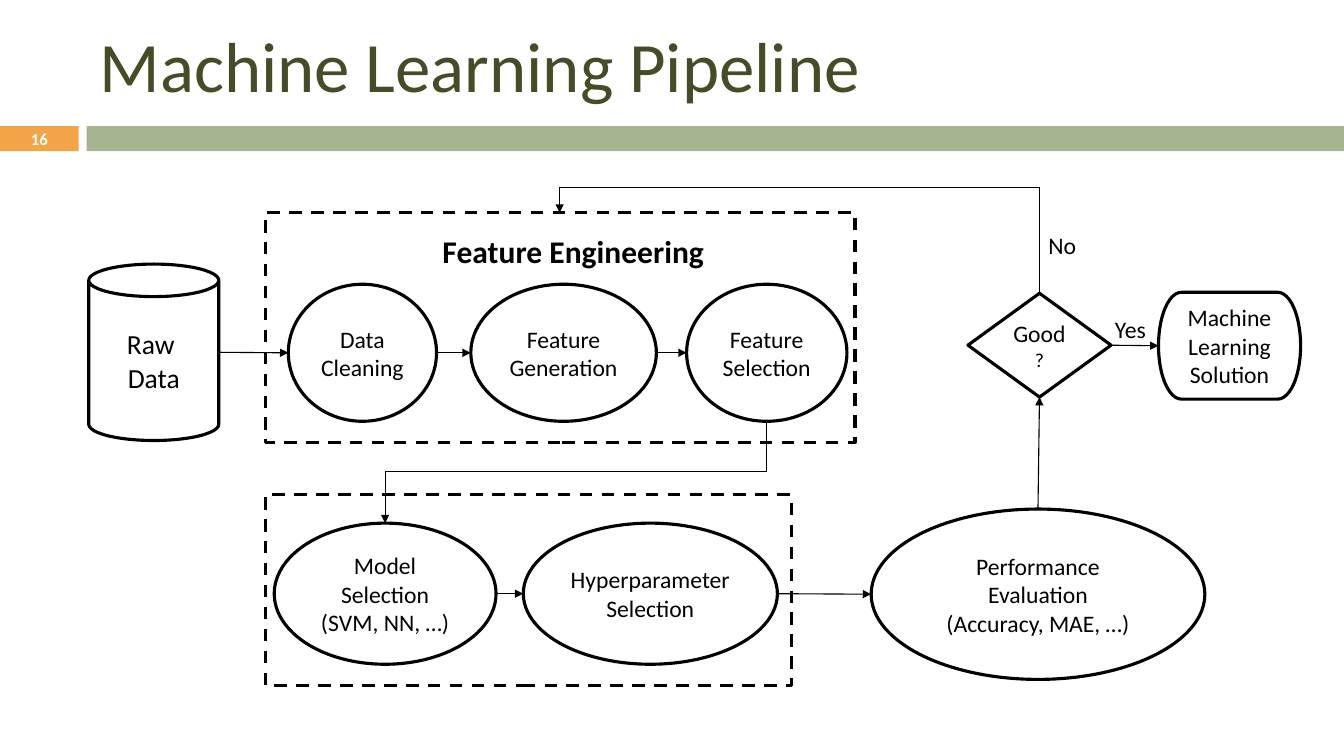
import pptx
import pptx.util
import pptx.dml.color
import pptx.enum.dml
import pptx.enum.shapes
import pptx.enum.text
import pptx.oxml.ns
from lxml import etree

PX = 9144  # 100 px to the inch
INK = "000000"
KIND = pptx.enum.shapes.MSO_SHAPE
LINK = pptx.enum.shapes.MSO_CONNECTOR
ALIGN = pptx.enum.text.PP_ALIGN
qn = pptx.oxml.ns.qn


def rgb(code):
    return pptx.dml.color.RGBColor.from_string(code)


def scale(*nums):
    return [round(n * PX) for n in nums]


def write(shape, text, size, color=INK, bold=False, align=ALIGN.CENTER, inset=(4, 4)):
    frame = shape.text_frame
    frame.text = text
    frame.word_wrap = True
    frame.vertical_anchor = pptx.enum.text.MSO_ANCHOR.MIDDLE
    frame.margin_left = frame.margin_right = inset[0] * PX
    frame.margin_top = frame.margin_bottom = inset[1] * PX
    for par in frame.paragraphs:
        par.alignment = align
        for run in par.runs:
            run.font.name = "Calibri"
            run.font.size = pptx.util.Pt(size)
            run.font.bold = bold
            run.font.color.rgb = rgb(color)


def label(slide, box, text, size, **style):
    shape = slide.shapes.add_textbox(*scale(*box))
    write(shape, text, size, inset=(10, 5), **style)


def bar(slide, box, color):
    shape = slide.shapes.add_shape(KIND.RECTANGLE, *scale(*box))
    shape.shadow.inherit = False
    shape.fill.solid()
    shape.fill.fore_color.rgb = rgb(color)
    shape.line.fill.background()


def node(slide, kind, box, text="", size=16.9):
    """Add an unfilled, outlined shape with centred text."""
    shape = slide.shapes.add_shape(kind, *scale(*box))
    shape.shadow.inherit = False
    shape.fill.background()
    shape.line.color.rgb = rgb(INK)
    shape.line.width = pptx.util.Pt(2.25)
    if text:
        write(shape, text, size)
    return shape


def frame(slide, box):
    shape = node(slide, KIND.RECTANGLE, box)
    shape.line.dash_style = pptx.enum.dml.MSO_LINE.DASH


def ink(line):
    """Give a connector its thin line and arrowhead."""
    line.line.color.rgb = rgb(INK)
    line.line.width = pptx.util.Pt(0.79)
    props = line.element.spPr
    etree.SubElement(props.find(qn("a:ln")), qn("a:tailEnd"), type="triangle")
    etree.SubElement(props, qn("a:effectLst"))


def across(slide, start, end):
    """Join the right side of one shape to the left side of the next."""
    line = slide.shapes.add_connector(
        LINK.STRAIGHT,
        start.left + start.width, start.top + start.height // 2,
        end.left, end.top + end.height // 2)
    ink(line)
    return line


def elbow(slide, start, end, level):
    """Run vertically to the level, then left, then vertically to the end."""
    (x1, y1), (x2, y2) = start, end
    midx, midy = (x1 + x2) / 2, (y1 + y2) / 2
    wide, high = abs(y2 - y1) / 2, (x1 - x2) / 2
    rises = y2 < y1
    if rises:
        high = -high
    line = slide.shapes.add_connector(
        LINK.ELBOW, *scale(midx - wide, midy - high, midx + wide, midy + high))
    props = line.element.spPr
    props.find(qn("a:xfrm")).set("rot", str((270 if rises else 90) * 60000))
    geom = props.find(qn("a:prstGeom"))
    guides = geom.find(qn("a:avLst"))
    if guides is None:
        guides = etree.SubElement(geom, qn("a:avLst"))
    turn = round((level - y1) / (y2 - y1) * 100000)
    etree.SubElement(guides, qn("a:gd"), name="adj1", fmla=f"val {turn}")
    ink(line)


def header(slide, box):
    x, y, w, h = box
    tab = (x, y + 125, 78, 25)
    bar(slide, tab, "F3A447")
    bar(slide, (x + 86, y + 125, w - 86, 25), "A5B592")
    label(slide, (x + 89, y + 10, 1189, 108), "Machine Learning Pipeline", 50.6,
          color="444D26", align=ALIGN.LEFT)
    label(slide, tab, "16", 11.9, color="FFFFFF", bold=True)


def stage(slide, box, top, high, steps):
    """Draw a dashed frame around a row of joined ellipses."""
    x, y, w, h = box
    row = [node(slide, KIND.OVAL, (x + left, y + top, wide, high), text)
           for left, wide, text in steps]
    frame(slide, box)
    for start, end in zip(row, row[1:]):
        across(slide, start, end)
    return row


def review(slide, box):
    """Draw the evaluation, the decision and the solution."""
    x, y, w, h = box
    score = node(slide, KIND.OVAL, (x, y + h - 169, 331, 169),
                 "Performance\nEvaluation\n(Accuracy, MAE, …)")
    good = node(slide, KIND.FLOWCHART_DECISION, (x + 96, y + 1, 142, 103), "Good\v?")
    good.text_frame.paragraphs[0].runs[-1].font.size = pptx.util.Pt(14.1)
    done = node(slide, KIND.FLOWCHART_TERMINATOR, (x + w - 141, y, 141, 106),
                "Machine\nLearning\nSolution")
    rise = slide.shapes.add_connector(LINK.STRAIGHT, 0, 0, 0, 0)
    rise.begin_connect(score, 0)
    rise.end_connect(good, 2)
    ink(rise)
    yes = across(slide, good, done)
    yes.begin_connect(good, 3)
    yes.end_connect(done, 1)
    label(slide, (x + 232, y + 17, 64, 38), "Yes", 16.9, align=ALIGN.LEFT)
    label(slide, (x + 166, y - 66, 64, 38), "No", 16.9, align=ALIGN.LEFT)
    return score


def pipeline(slide, box):
    x, y, w, h = box
    raw = node(slide, KIND.CAN, (x, y + 51, 129, 175), "Raw \nData", 19.7)
    clean = stage(slide, (x + 175, y, 585, 228), 71, 136, [
        (23, 147, "Data\nCleaning"),
        (204, 184, "Feature\nGeneration"),
        (418, 159, "Feature\nSelection")])[0]
    label(slide, (x + 341, y + 14, 298, 48), "Feature Engineering", 22.5,
          bold=True, align=ALIGN.LEFT)
    tune = stage(slide, (x + 175, y + 280, 522, 189), 28, 140, [
        (9, 220, "Model\nSelection\n(SVM, NN, …)"),
        (256, 252, "Hyperparameter\nSelection")])[-1]
    score = review(slide, (x + 776, y + 79, w - 776, 384))
    across(slide, raw, clean)
    across(slide, tune, score)
    elbow(slide, (x + 943, y + 80), (x + 467, y), y - 25)
    elbow(slide, (x + 672, y + 207), (x + 294, y + 308), y + 257)


def main():
    deck = pptx.Presentation()
    deck.slide_width, deck.slide_height = scale(1333, 750)
    slide = deck.slides.add_slide(deck.slide_layouts[6])
    header(slide, (0, 0, 1333, 150))
    pipeline(slide, (88, 211, 1202, 469))
    deck.save("out.pptx")


if __name__ == "__main__":
    main()
